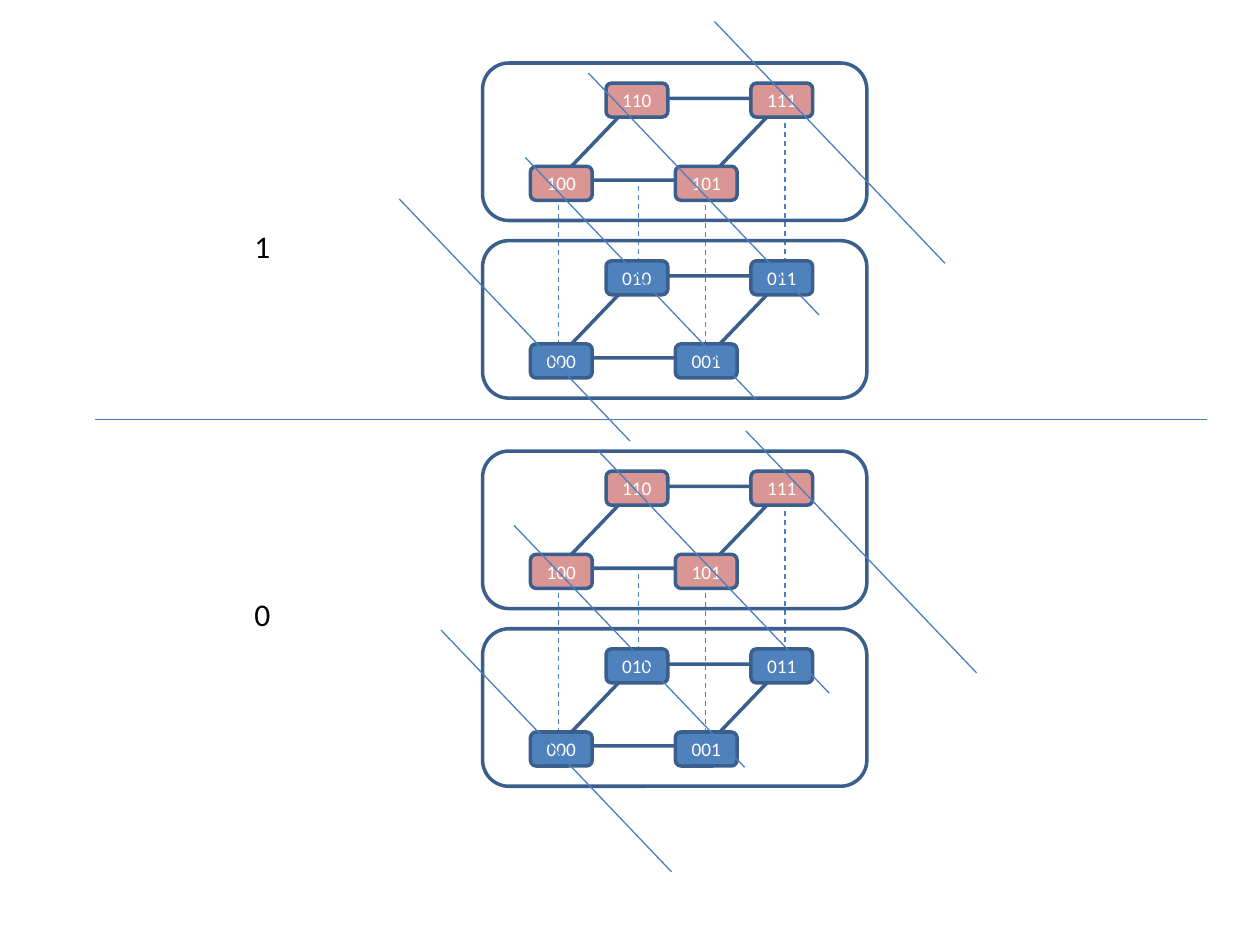
"""Two stacked three-bit cubes cut by diagonal lines, one for each leading bit."""
from lxml import etree
from pptx import Presentation
from pptx.dml.color import RGBColor
from pptx.enum import dml, shapes, text
from pptx.oxml.ns import qn
from pptx.util import Inches, Pt

COLORS = {"edge": "3A5F8C", "line": "4B7EBC", "blue": "4F81BD",
          "pink": "D99694", "white": "FFFFFF", "black": "000000"}
FONT = "Calibri"
CUBE_TOPS = [0.5, 3.58]
PLANE_GAP = 1.41
PLANES = [("0", "blue", PLANE_GAP), ("1", "pink", 0)]
NODES = [("00", 4.21, 0.82), ("10", 4.81, 0.16), ("01", 5.36, 0.82), ("11", 5.96, 0.16)]
DASHES = [(4.43, 0.98), (5.6, 0.98), (6.23, 0.33), (5.07, 0.33)]
LABELS = [("1", 1.75), ("0", 4.67)]
DIVIDER = (0.75, 3.33, 9.58, 3.33)
DIAGONAL_STARTS = [(3.5, 5), (4.08, 4.17), (4.75, 3.58), (5.92, 3.42),
                   (3.17, 1.58), (4.17, 1.25), (4.67, 0.58), (5.67, 0.17)]
DIAGONAL_SPAN = (1.83, 1.92)
KINDS = shapes.MSO_SHAPE


def rgb(name):
    return RGBColor.from_string(COLORS[name])


def add_run(p, words, size, color):
    r = p.add_run()
    r.text = words
    r.font.name, r.font.size = FONT, Pt(size)
    r.font.color.rgb = rgb(color)


def add_box(parent, kind, box, fill=None):
    sp = parent.add_shape(kind, *map(Inches, box))
    sp.shadow.inherit = False
    if fill:
        sp.fill.solid()
        sp.fill.fore_color.rgb = rgb(fill)
    else:
        sp.fill.background()
    sp.line.color.rgb = rgb("edge")
    sp.line.width = Pt(2)
    return sp


def add_line(parent, ends, dashed=False):
    c = parent.add_connector(shapes.MSO_CONNECTOR.STRAIGHT, *map(Inches, ends))
    c.line.color.rgb = rgb("line")
    c.line.width = Pt(0.75)
    if dashed:
        c.line.dash_style = dml.MSO_LINE.DASH
    etree.SubElement(c._element.spPr, qn("a:effectLst"))


def add_plane(parent, top, bit, fill):
    for name, x, dy in NODES:
        sp = add_box(parent, KINDS.FLOWCHART_ALTERNATE_PROCESS, (x, top + dy, 0.49, 0.27), fill)
        tf = sp.text_frame
        tf.margin_left = tf.margin_right = tf.margin_top = tf.margin_bottom = 0
        tf.vertical_anchor = text.MSO_ANCHOR.MIDDLE
        p = tf.paragraphs[0]
        p.alignment = text.PP_ALIGN.CENTER
        add_run(p, bit + name, 11, "white")


def add_face(parent, top):
    sp = add_box(parent, KINDS.PARALLELOGRAM, (4.43, top + 0.28, 1.8, 0.65), "white")
    sp.adjustments[0] = 0.957


def add_cube(s, top):
    cube = s.shapes.add_group_shape().shapes
    for bit, fill, dy in PLANES:
        add_face(cube, top + dy)
        if dy:
            for x, start in DASHES:
                add_line(cube, (x, top + start, x, top + start + 1.36), True)
        add_plane(cube, top + dy, bit, fill)
    for _, _, dy in PLANES:
        add_box(cube, KINDS.FLOWCHART_ALTERNATE_PROCESS, (3.83, top + dy, 3.05, 1.25))


prs = Presentation()
prs.slide_width, prs.slide_height = Inches(10), Inches(7.5)
s = prs.slides.add_slide(prs.slide_layouts[6])

for top in CUBE_TOPS:
    add_cube(s, top)

for words, y in LABELS:
    tf = s.shapes.add_textbox(*map(Inches, (1.92, y, 0.75, 0.42))).text_frame
    tf.word_wrap = True
    add_run(tf.paragraphs[0], words, 18, "black")

add_line(s.shapes, DIVIDER)
for x, y in DIAGONAL_STARTS:
    add_line(s.shapes, (x, y, x + DIAGONAL_SPAN[0], y + DIAGONAL_SPAN[1]))

prs.save("out.pptx")
